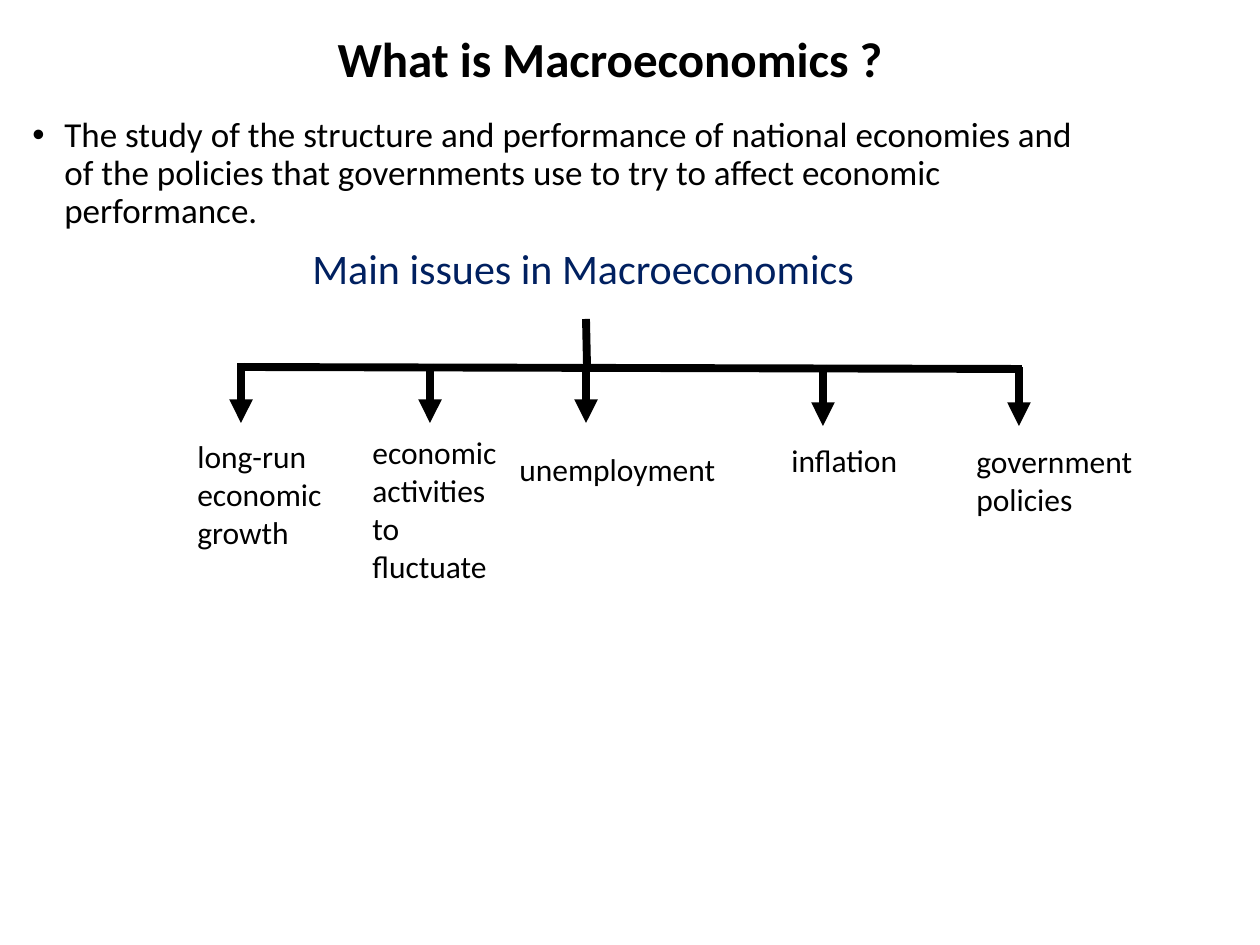
"""Build a slide that defines macroeconomics and branches into its main issues."""
from lxml import etree
from pptx import Presentation, util as u
from pptx.dml.color import RGBColor
from pptx.enum import shapes, text
from pptx.oxml.ns import qn

HUE = {"ink": "000000", "navy": "002060", "page": "FFFFFF"}
FONT = "Calibri"
TITLE = ("What is Macroeconomics ?", (325, 33, 651, 58))
BODY = (20, 111, 1081, 548)
STUDY = ("The study of the structure and performance of national economies and "
         "of the policies that governments use to try to affect economic performance.")
HEAD = "Main issues in Macroeconomics"
ISSUES = [
    ("long-run economic growth", (185, 431, 150, 118)),
    ("economic activities to fluctuate", (360, 427, 159, 165)),
    ("unemployment", (507, 444, 225, 47)),
    ("inflation", (779, 435, 149, 50)),
    ("government policies", (964, 436, 190, 89)),
]
STEM = (586, 319, 587, 365)
BAR = (238, 367, 1022, 369)
ARROWS = [(241, 363, 423), (430, 364, 423), (586, 364, 423),
          (823, 365, 426), (1019, 367, 426)]


def px(n):
    return u.Emu(round(n * 914400 / 126))


def style(para, words, size, hue="ink", bold=False):
    para.text = words
    para.alignment = text.PP_ALIGN.LEFT
    font = para.font
    font.name, font.size, font.bold = FONT, u.Pt(size), bold
    font.color.rgb = RGBColor.from_string(HUE[hue])


def box(place):
    frame = slide.shapes.add_textbox(*map(px, place)).text_frame
    frame.word_wrap = True
    return frame


def indent(para, left, first=0, mark=None):
    props = para._p.get_or_add_pPr()
    props.set("marL", str(px(left)))
    props.set("indent", str(px(first)))
    if mark:
        etree.SubElement(props, qn("a:buFont")).set("typeface", "Arial")
        etree.SubElement(props, qn("a:buChar")).set("char", mark)


def line(ends, arrow=False):
    link = slide.shapes.add_connector(shapes.MSO_CONNECTOR.STRAIGHT, *map(px, ends))
    link.line.width = u.Pt(4.5)
    link.line.color.rgb = RGBColor.from_string(HUE["ink"])
    if arrow:
        etree.SubElement(link.line._get_or_add_ln(), qn("a:tailEnd")).set("type", "triangle")
    etree.SubElement(link._element.spPr, qn("a:effectLst"))


deck = Presentation()
deck.slide_width, deck.slide_height = px(1260), px(945)
slide = deck.slides.add_slide(deck.slide_layouts[5])
fill = slide.background.fill
fill.solid()
fill.fore_color.rgb = RGBColor.from_string(HUE["page"])

title = slide.shapes.title
title.left, title.top, title.width, title.height = map(px, TITLE[1])
frame = title.text_frame
frame.auto_size = text.MSO_AUTO_SIZE.NONE
frame.vertical_anchor = text.MSO_ANCHOR.MIDDLE
style(frame.paragraphs[0], TITLE[0], 28, bold=True)
frame.paragraphs[0].line_spacing = 0.9

frame = box(BODY)
study, head = frame.paragraphs[0], frame.add_paragraph()
indent(study, 32, -32, "•")
indent(head, 280)
style(study, STUDY, 20)
style(head, HEAD, 24, "navy")
study.line_spacing = head.line_spacing = 0.9
head.space_before = u.Pt(10)

for words, place in ISSUES:
    style(box(place).paragraphs[0], words, 18)

line(STEM)
line(BAR)
for x, top, end in ARROWS:
    line((x, top, x, end), True)

deck.save("out.pptx")
